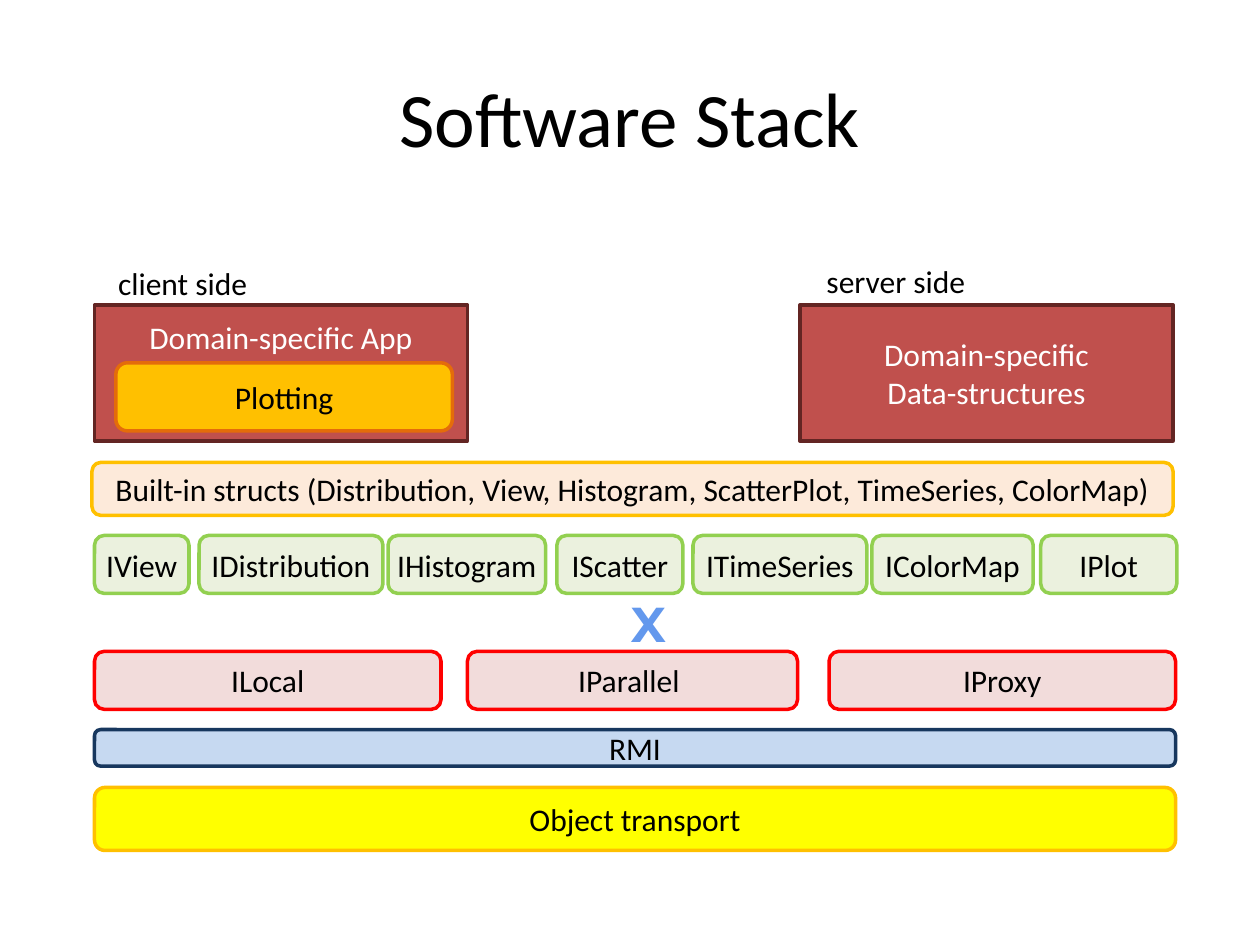
from lxml import etree
from pptx import Presentation
from pptx import util as u
from pptx.dml.color import RGBColor
from pptx.enum import shapes, text
from pptx.oxml import parse_xml
from pptx.oxml.ns import nsdecls

I = u.Inches
RECT = shapes.MSO_SHAPE.RECTANGLE
ROUND = shapes.MSO_SHAPE.ROUNDED_RECTANGLE


def rgb(value):
    return RGBColor.from_string(value)


def write(tf, lines, color="000000", size=18, wrap=True):
    tf.word_wrap = wrap
    tf.text = lines
    for p in tf.paragraphs:
        p.alignment = text.PP_ALIGN.CENTER
        p.font.name = "Calibri"
        p.font.size = u.Pt(size)
        p.font.color.rgb = rgb(color)


def block(s, box, label, fill, line, color="000000", kind=ROUND, wrap=True):
    sp = s.shapes.add_shape(kind, *map(I, box))
    sp.shadow.inherit = False
    sp.fill.solid()
    sp.fill.fore_color.rgb = rgb(fill)
    sp.line.color.rgb = rgb(line)
    sp.line.width = u.Pt(2)
    sp.text_frame.vertical_anchor = text.MSO_ANCHOR.MIDDLE
    write(sp.text_frame, label, color, wrap=wrap)
    return sp


def caption(s, box, label):
    tf = s.shapes.add_textbox(*map(I, box)).text_frame
    write(tf, label, wrap=False)
    return tf


def title(s, box):
    sp = s.shapes.title
    sp.left, sp.top, sp.width, sp.height = map(I, box)
    sp.text_frame.vertical_anchor = text.MSO_ANCHOR.MIDDLE
    write(sp.text_frame, "Software Stack", size=44)


def domain(s, box, label):
    return block(s, box, label, "C0504D", "632523", "FFFFFF", RECT)


def client(s, x, y, w, h):
    tf = domain(s, (x, y, w, h), "Domain-specific App").text_frame
    tf.vertical_anchor = text.MSO_ANCHOR.TOP
    tf.margin_top = I(0.1)
    block(s, (x + 0.17, y + 0.46, w - 0.29, h / 2), "Plotting", "FFC000", "E46C0A")
    caption(s, (x + 0.08, y - 0.37, 1.24, 0.4), "client side")


def server(s, x, y, w, h):
    domain(s, (x, y, w, h), "Domain-specific\nData-structures")
    caption(s, (x + 0.1, y - 0.39, 1.32, 0.4), "server side")


def row(s, y, h, parts, fill, line, wrap):
    for label, x, w in parts:
        block(s, (x, y, w, h), label, fill, line, wrap=wrap)


def cross(s, box):
    p = caption(s, box, "X").paragraphs[0]
    f = p.runs[0].font
    f.name, f.size, f.bold = "Montserrat", u.Pt(28), True
    f.fill.gradient()
    f.fill.gradient_angle = 270
    for stop, (pos, color) in zip(f.fill.gradient_stops, ((0.1, "6398ED"), (0.75, "265EA0"))):
        stop.position = pos
        stop.color.rgb = rgb(color)
    rPr = p.runs[0]._r.get_or_add_rPr()
    rPr.set("spc", "300")
    ln = parse_xml(f'<a:ln {nsdecls("a")} w="11430"/>')
    fill = etree.SubElement(ln, "{http://schemas.openxmlformats.org/drawingml/2006/main}solidFill")
    etree.SubElement(fill, fill.tag.replace("solidFill", "srgbClr"), val="F4F6F9")
    rPr.insert(0, ln)


def main():
    prs = Presentation()
    prs.slide_width, prs.slide_height = I(10), I(7.5)
    s = prs.slides.add_slide(prs.slide_layouts[5])
    left, width = 0.75, 8.58
    title(s, (0.5, 0.3, 9, 1.25))
    client(s, left, 2.42, 2.96, 1.08)
    server(s, 6.35, 2.42, 2.96, 1.08)
    block(s, (0.73, 3.67, width, 0.42),
          "Built-in structs (Distribution, View, Histogram, ScatterPlot, TimeSeries, ColorMap)",
          "FDEADA", "FFC000", wrap=False)
    interfaces = [("IView", left, 0.75), ("IDistribution", 1.58, 1.46),
                  ("IHistogram", 3.08, 1.25), ("IScatter", 4.42, 1),
                  ("ITimeSeries", 5.5, 1.38), ("IColorMap", 6.92, 1.28),
                  ("IPlot", 8.26, 1.08)]
    row(s, 4.25, 0.46, interfaces, "EBF1DE", "92D050", False)
    cross(s, (4.87, 4.66, 0.55, 0.57))
    modes = [("ILocal", left, 2.75), ("IParallel ", 3.71, 2.62), ("IProxy", 6.58, 2.75)]
    row(s, 5.17, 0.46, modes, "F2DCDB", "FF0000", True)
    block(s, (left, 5.79, width, 0.29), "RMI", "C6D9F1", "17375E")
    block(s, (left, 6.25, width, 0.5), "Object transport", "FFFF00", "FFC000")
    prs.save("out.pptx")


if __name__ == "__main__":
    main()
